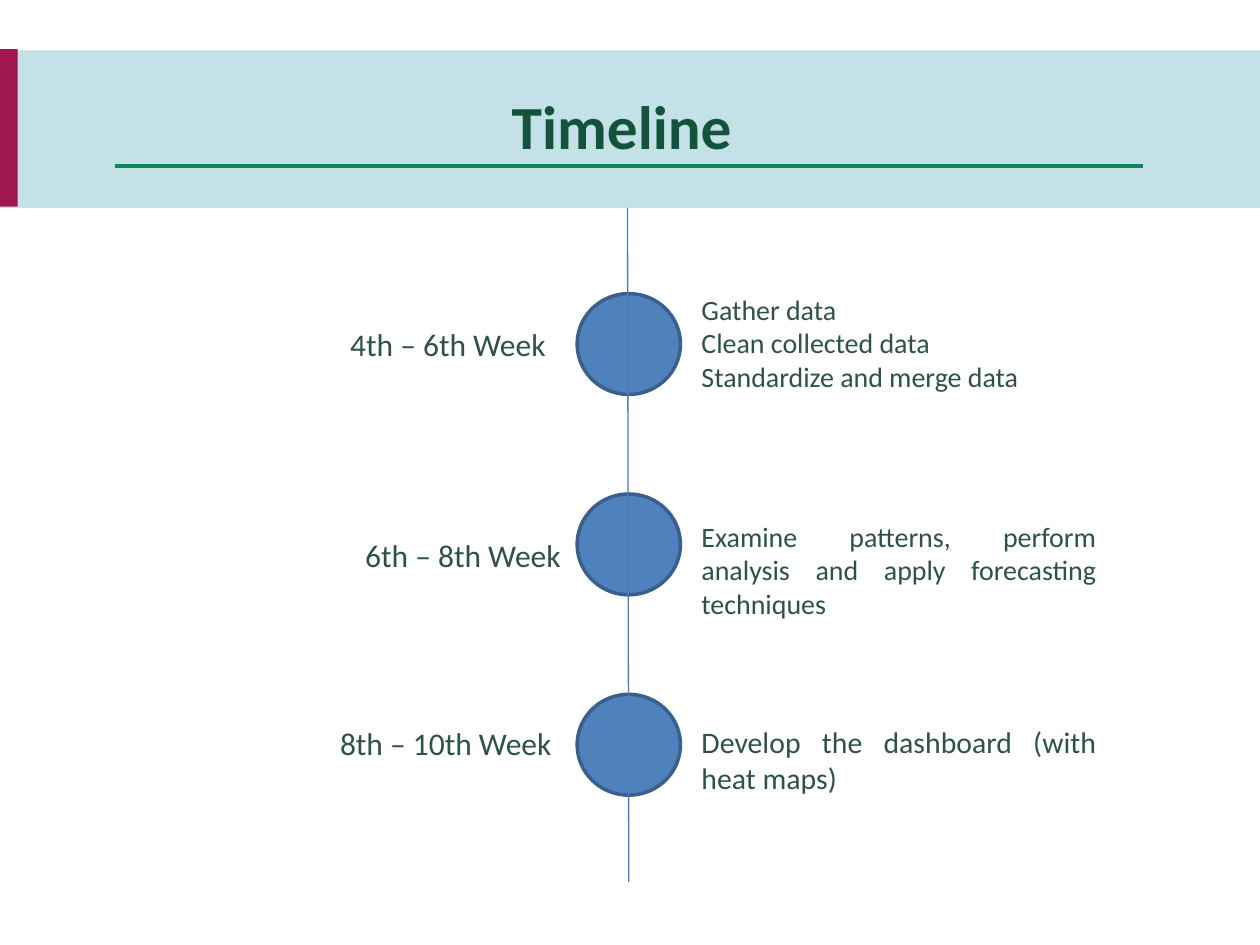
"""Build a timeline slide with three project phases."""
import lxml.etree
import pptx
import pptx.dml.color
import pptx.enum.shapes
import pptx.enum.text
import pptx.oxml.ns
import pptx.util

Pt = pptx.util.Pt
Kind = pptx.enum.shapes.MSO_SHAPE
Align = pptx.enum.text.PP_ALIGN
HUES = {
    "band": "1688A0", "tab": "A0164E", "rule": "12865B", "title": "14533B",
    "text": "2D5345", "dot": "4F81BD", "rim": "3A5F8C", "axis": "4A7EBB",
}


class Deck:
    font = "Calibri"

    def __init__(self, wide, high):
        self.file = pptx.Presentation()
        self.file.slide_width, self.file.slide_height = Pt(wide), Pt(high)
        self.slide = self.file.slides.add_slide(self.file.slide_layouts[5])

    def hue(self, name):
        return pptx.dml.color.RGBColor.from_string(HUES[name])

    def shape(self, kind, box, fill, rim=None, alpha=None):
        item = self.slide.shapes.add_shape(kind, *map(Pt, box))
        item.shadow.inherit = False
        item.fill.solid()
        item.fill.fore_color.rgb = self.hue(fill)
        if alpha:
            tag = pptx.oxml.ns.qn("a:srgbClr")
            tint = next(item.element.spPr.iter(tag))
            lxml.etree.SubElement(
                tint, pptx.oxml.ns.qn("a:alpha"), val=str(alpha * 1000))
        if rim:
            item.line.color.rgb = self.hue(rim)
            item.line.width = Pt(2)
        else:
            item.line.fill.background()

    def line(self, ends, hue, width):
        item = self.slide.shapes.add_connector(
            pptx.enum.shapes.MSO_CONNECTOR.STRAIGHT, *map(Pt, ends))
        item.line.color.rgb = self.hue(hue)
        item.line.width = Pt(width)
        lxml.etree.SubElement(
            item.element.spPr, pptx.oxml.ns.qn("a:effectLst"))

    def style(self, para, size, hue, align, bold=False):
        para.alignment = align
        for run in para.runs:
            run.font.name, run.font.size = self.font, Pt(size)
            run.font.bold = bold
            run.font.color.rgb = self.hue(hue)

    def title(self, text, box):
        item = self.slide.shapes.title
        item.element.getparent().append(item.element)
        item.left, item.top, item.width, item.height = map(Pt, box)
        frame = item.text_frame
        frame.text = text
        frame.auto_size = pptx.enum.text.MSO_AUTO_SIZE.NONE
        frame.vertical_anchor = pptx.enum.text.MSO_ANCHOR.TOP
        self.style(frame.paragraphs[0], 35, "title", Align.CENTER, True)

    def text(self, rows, box, align=Align.LEFT, inset=3.6):
        frame = self.slide.shapes.add_textbox(*map(Pt, box)).text_frame
        frame.word_wrap = True
        frame.margin_top = Pt(inset)
        frame.text = "\n".join(row[0] for row in rows)
        for para, (_, size, gap) in zip(frame.paragraphs, rows):
            self.style(para, size, "text", align)
            para.space_before = Pt(gap)


def main():
    deck = Deck(720, 540)
    deck.shape(Kind.RECTANGLE, (0, 28.8, 721.4, 90), "band", alpha=25)
    deck.shape(Kind.RECTANGLE, (-0.7, 28.1, 10.8, 90), "tab")
    deck.line((65.5, 95, 653, 95), "rule", 2)
    deck.title("Timeline", (238.3, 46.8, 234, 41))

    for step in range(3):
        top = 167.8 + step * 114.5
        deck.shape(Kind.OVAL, (329.8, top, 59, 57.6), "dot", "rim")

    weeks = [
        ("4th – 6th Week", (193, 182.2, 131, 28.8), 3.6),
        ("6th – 8th Week", (201.6, 280.8, 221.8, 45.4), 25.6),
        ("8th – 10th Week", (187.2, 410.4, 142.6, 28.8), 3.6),
    ]
    for week, box, inset in weeks:
        deck.text([(week, 18, 0)], box, inset=inset)

    tasks = [
        ("Gather data", 16, 0),
        ("Clean collected data", 16, 0),
        ("Standardize and merge data", 16, 0),
        ("Examine patterns, perform analysis and apply forecasting techniques",
         16, 72),
        ("Develop the dashboard (with heat maps)", 17, 59.4),
    ]
    deck.text(tasks, (393.8, 144, 239.8, 275.8), Align.JUSTIFY, 23.1)
    deck.line((358.6, 118.8, 359.3, 504), "axis", 0.75)
    deck.file.save("out.pptx")


if __name__ == "__main__":
    main()
